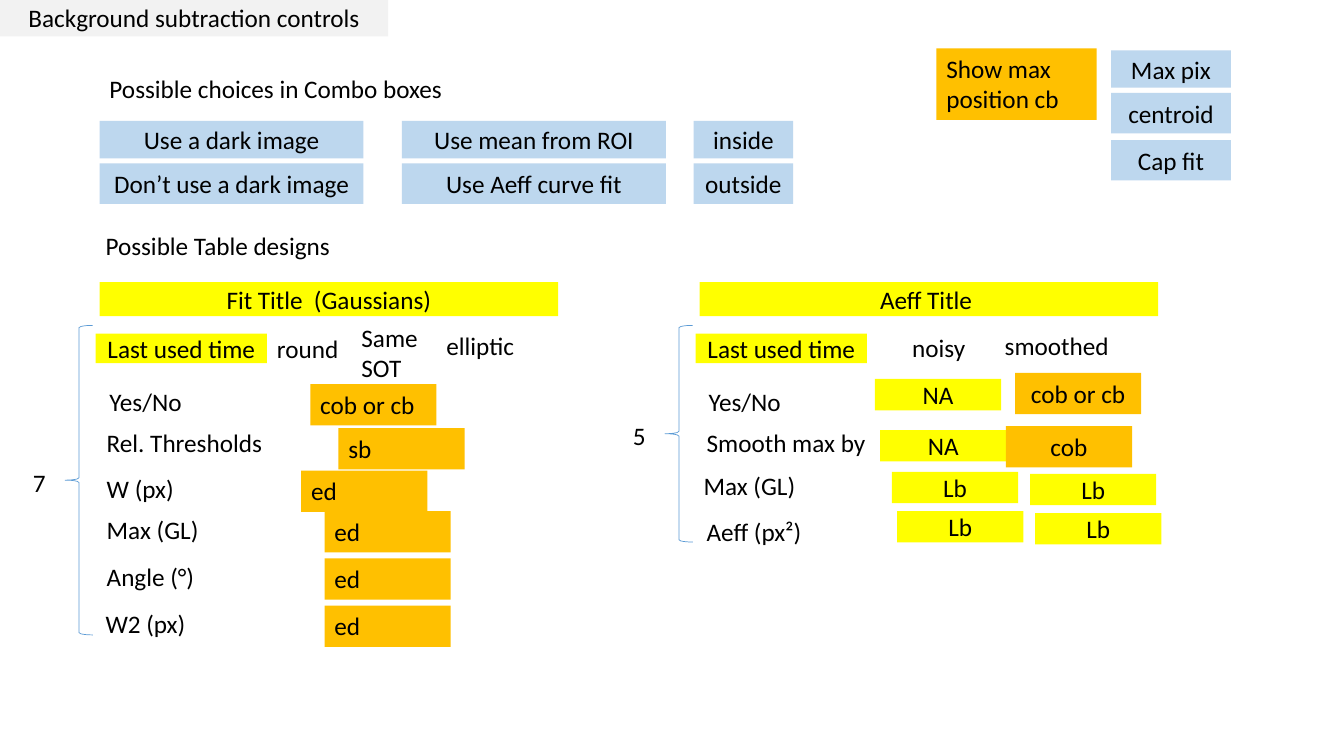
from pptx import Presentation
from pptx.dml.color import RGBColor
from pptx.enum.shapes import MSO_SHAPE
from pptx.enum.text import MSO_ANCHOR, MSO_AUTO_SIZE, PP_ALIGN
from pptx.util import Cm, Pt

BLACK = RGBColor(0x00, 0x00, 0x00)
GREY = RGBColor(0xF2, 0xF2, 0xF2)
BLUE = RGBColor(0xBD, 0xD7, 0xEE)
YELLOW = RGBColor(0xFF, 0xFF, 0x00)
ORANGE = RGBColor(0xFF, 0xC0, 0x00)
LINE = RGBColor(0x5B, 0x9B, 0xD5)

FONT = {"name": "Calibri", "size": Pt(18), "bold": False}
MID = {"vertical_anchor": MSO_ANCHOR.MIDDLE, "word_wrap": True}
TOP = {"vertical_anchor": MSO_ANCHOR.TOP, "word_wrap": True,
       "auto_size": MSO_AUTO_SIZE.SHAPE_TO_FIT_TEXT}
FREE = {**TOP, "word_wrap": False}

# Sizes in cm
ROW = 1.02
CELL = (3.18, 1.04)
FLAT = (3.18, 0.79)


def style(item, form):
    for key, value in form.items():
        setattr(item, key, value)


def write(shape, text, frame, align):
    style(shape.text_frame, frame)
    para = shape.text_frame.paragraphs[0]
    para.alignment = align
    run = para.add_run()
    run.text = text
    style(run.font, FONT)
    run.font.color.rgb = BLACK


def block(slide, box, text, fill, frame=MID):
    shape = slide.shapes.add_shape(MSO_SHAPE.RECTANGLE, *map(Cm, box))
    shape.shadow.inherit = False
    shape.fill.solid()
    shape.fill.fore_color.rgb = fill
    shape.line.fill.background()
    write(shape, text, frame, PP_ALIGN.CENTER if frame is MID else PP_ALIGN.LEFT)


def label(slide, box, text, frame=TOP):
    shape = slide.shapes.add_textbox(*map(Cm, box))
    write(shape, text, frame, PP_ALIGN.LEFT)


def combo(slide, box, names):
    """Stack of choices in a combo box."""
    left, top, width = box
    rows = [(0, 0.94), (1.07, ROW), (2.26, ROW)]
    for name, (down, height) in zip(names, rows):
        block(slide, (left, top + down, width, height), name, BLUE)


def brace(slide, box, count):
    """Brace beside the rows, with their count at its tip."""
    left, top, width, height = box
    shape = slide.shapes.add_shape(MSO_SHAPE.LEFT_BRACE, *map(Cm, box))
    shape.shadow.inherit = False
    shape.fill.background()
    shape.line.color.rgb = LINE
    shape.line.width = Pt(0.5)
    label(slide, (left - 1.06, top + height / 2 - 0.46, 0.84, ROW), count, FREE)


def table(slide, box, plan):
    """Title, heads, row labels, cells and brace of one table design."""
    left, top = box
    block(slide, (left + 0.1, top, 11.56, 0.86), plan["title"], YELLOW)
    block(slide, (left, top + 1.3, 4.32, 0.74), "Last used time", YELLOW)
    for text, right, down, width, height in plan["heads"]:
        label(slide, (left + right, top + down, width, height), text)
    for text, right, down, width in plan["rows"]:
        label(slide, (left + right, top + down, width, ROW), text)
    for text, right, down, size, fill in plan["cells"]:
        block(slide, (left + right, top + down, *size), text, fill, plan["frame"])
    brace(slide, (left - 0.77, top + 1.09, 0.7, plan["span"]), plan["count"])


FIT = {
    "title": "Fit Title  (Gaussians)", "count": "7", "span": 7.8, "frame": TOP,
    "heads": [("round", 4.32, 1.17, 2.13, ROW),
              ("Same SOT", 6.45, 0.89, 2.13, 1.8),
              ("elliptic", 8.59, 1.09, 2.29, ROW)],
    "rows": [("Yes/No", 0.1, 2.49, 2.82),
             ("Rel. Thresholds", 0.03, 3.53, 5.89),
             ("W (px)", 0.03, 4.7, 3.33),
             ("Max (GL)", 0.03, 5.72, 3.33),
             ("Angle (°)", 0.03, 6.91, 3.33),
             ("W2 (px)", 0, 8.1, 3.33)],
    "cells": [("cob or cb", 5.41, 2.57, CELL, ORANGE),
              ("sb", 6.12, 3.68, CELL, ORANGE),
              ("ed", 5.18, 4.75, CELL, ORANGE),
              ("ed", 5.77, 5.77, CELL, ORANGE),
              ("ed", 5.77, 6.96, CELL, ORANGE),
              ("ed", 5.77, 8.15, CELL, ORANGE)],
}
AEFF = {
    "title": "Aeff Title ", "count": "5", "span": 5.46, "frame": MID,
    "heads": [("noisy", 5.21, 1.14, 2.13, ROW),
              ("smoothed", 7.54, 1.09, 3.3, ROW)],
    "rows": [("Yes/No", 0.08, 2.49, 2.82),
             ("Smooth max by", 0.03, 3.53, 4.72),
             ("Max (GL)", -0.05, 4.62, 3.33),
             ("Aeff (px²)", 0.03, 5.77, 3.33)],
    "cells": [("NA", 4.52, 2.44, FLAT, YELLOW),
              ("cob or cb", 8.05, 2.29, CELL, ORANGE),
              ("NA", 4.65, 3.73, FLAT, YELLOW),
              ("cob", 7.82, 3.63, CELL, ORANGE),
              ("Lb", 4.95, 4.78, FLAT, YELLOW),
              ("Lb", 8.43, 4.83, FLAT, YELLOW),
              ("Lb", 5.08, 5.77, FLAT, YELLOW),
              ("Lb", 8.56, 5.82, FLAT, YELLOW)],
}


def main():
    deck = Presentation()
    deck.slide_width, deck.slide_height = Cm(33.87), Cm(19.05)
    slide = deck.slides.add_slide(deck.slide_layouts[6])

    # Heading
    block(slide, (0, -0.05, 9.78, 0.97), "Background subtraction controls", GREY)

    # Combo boxes
    label(slide, (2.51, 1.73, 9.68, ROW), "Possible choices in Combo boxes")
    combo(slide, (2.51, 3.05, 6.65), ["Use a dark image", "Don’t use a dark image"])
    combo(slide, (10.13, 3.05, 6.65), ["Use mean from ROI", "Use Aeff curve fit"])
    combo(slide, (17.48, 3.05, 2.51), ["inside", "outside"])
    block(slide, (23.6, 1.22, 4.04, 1.8), "Show max position cb", ORANGE, TOP)
    combo(slide, (28, 1.27, 3.02), ["Max pix", "centroid", "Cap fit"])

    # Table designs
    label(slide, (2.41, 5.69, 9.68, ROW), "Possible Table designs")
    table(slide, (2.41, 7.11), FIT)
    table(slide, (17.53, 7.11), AEFF)

    deck.save("out.pptx")


if __name__ == "__main__":
    main()
